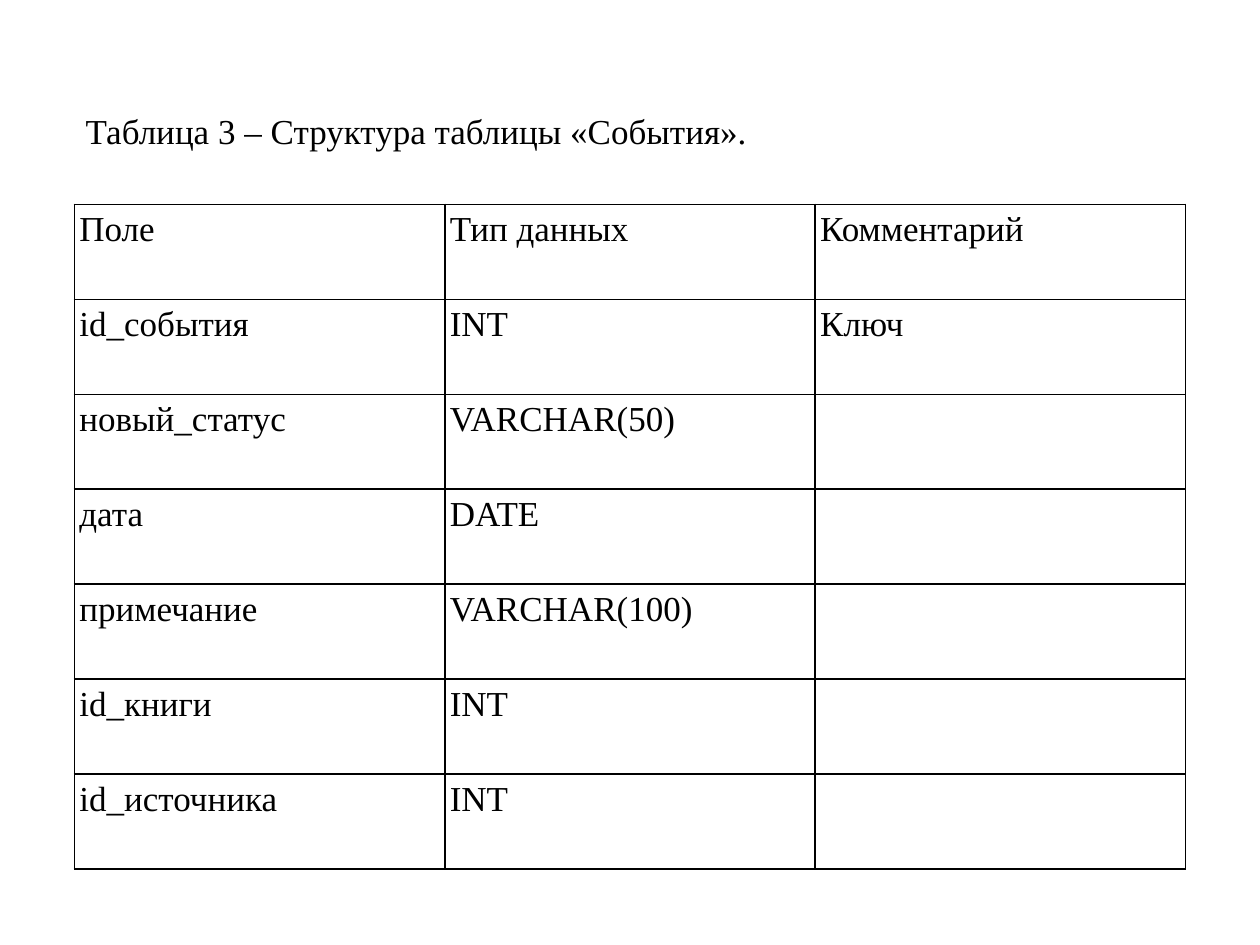
from lxml import etree
from pptx import Presentation
from pptx import util as u
from pptx.dml.color import RGBColor
from pptx.enum import text
from pptx.oxml import ns


def write(tf, content, size=20, font="Times New Roman", color="000000", after=0):
    p = tf.paragraphs[0]
    p.alignment = text.PP_ALIGN.LEFT
    p.space_after = u.Pt(after)
    p.font.size = u.Pt(size)
    if content:
        r = p.add_run()
        r.text = content
        r.font.name = font
        r.font.size = u.Pt(size)
        r.font.color.rgb = RGBColor.from_string(color)


def add_borders(cell, color="000000", width=0.96):
    tc_pr = cell._tc.get_or_add_tcPr()
    for i, side in enumerate(("lnL", "lnR", "lnT", "lnB")):
        ln = etree.Element(ns.qn(f"a:{side}"), w=str(int(u.Pt(width))))
        fill = etree.SubElement(ln, ns.qn("a:solidFill"))
        etree.SubElement(fill, ns.qn("a:srgbClr"), val=color)
        tc_pr.insert(i, ln)


prs = Presentation()
prs.slide_width, prs.slide_height = u.Pt(720), u.Pt(540)
s = prs.slides.add_slide(prs.slide_layouts[5])

title = s.shapes.title
title.left, title.top = u.Pt(41.76), u.Pt(59.04)
title.width, title.height = u.Pt(504.72), u.Pt(31.5)
tf = title.text_frame
tf.word_wrap = True
tf.auto_size = text.MSO_AUTO_SIZE.NONE
tf.vertical_anchor = text.MSO_ANCHOR.TOP
write(tf, "Таблица 3 – Структура таблицы «События».")

fields = [
    ("Поле", "Тип данных", "Комментарий"),
    ("id_события", "INT", "Ключ"),
    ("новый_статус", "VARCHAR(50)", ""),
    ("дата", "DATE", ""),
    ("примечание", "VARCHAR(100)", ""),
    ("id_книги", "INT", ""),
    ("id_источника", "INT", ""),
]
table = s.shapes.add_table(
    len(fields), 3, u.Pt(42.48), u.Pt(116.8), u.Pt(635.04), u.Pt(380)
).table
table.first_row = table.horz_banding = False

for row, values in zip(table.rows, fields):
    row.height = u.Pt(54.28)
    for cell, value in zip(row.cells, values):
        cell.margin_left = cell.margin_right = u.Pt(2.88)
        cell.margin_top = cell.margin_bottom = u.Pt(3.6)
        cell.fill.background()
        add_borders(cell)
        write(cell.text_frame, value, after=10)

prs.save("out.pptx")
